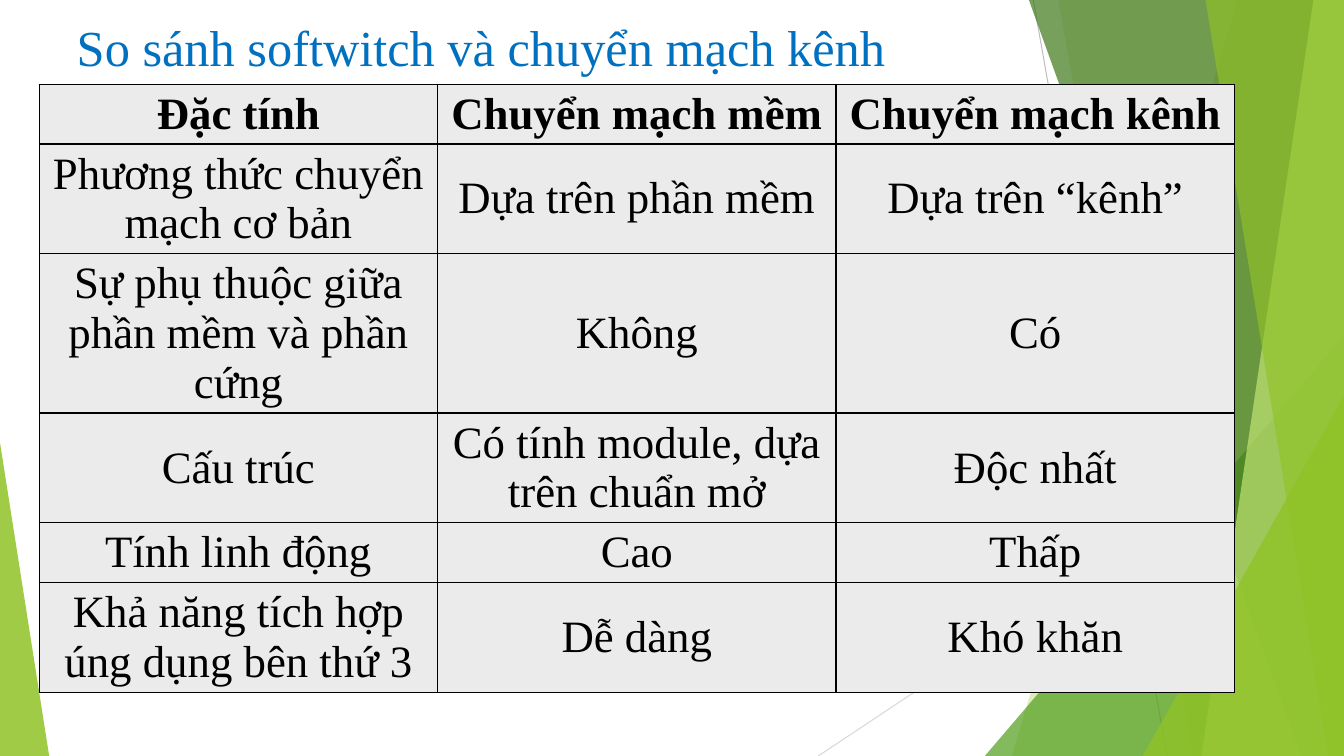
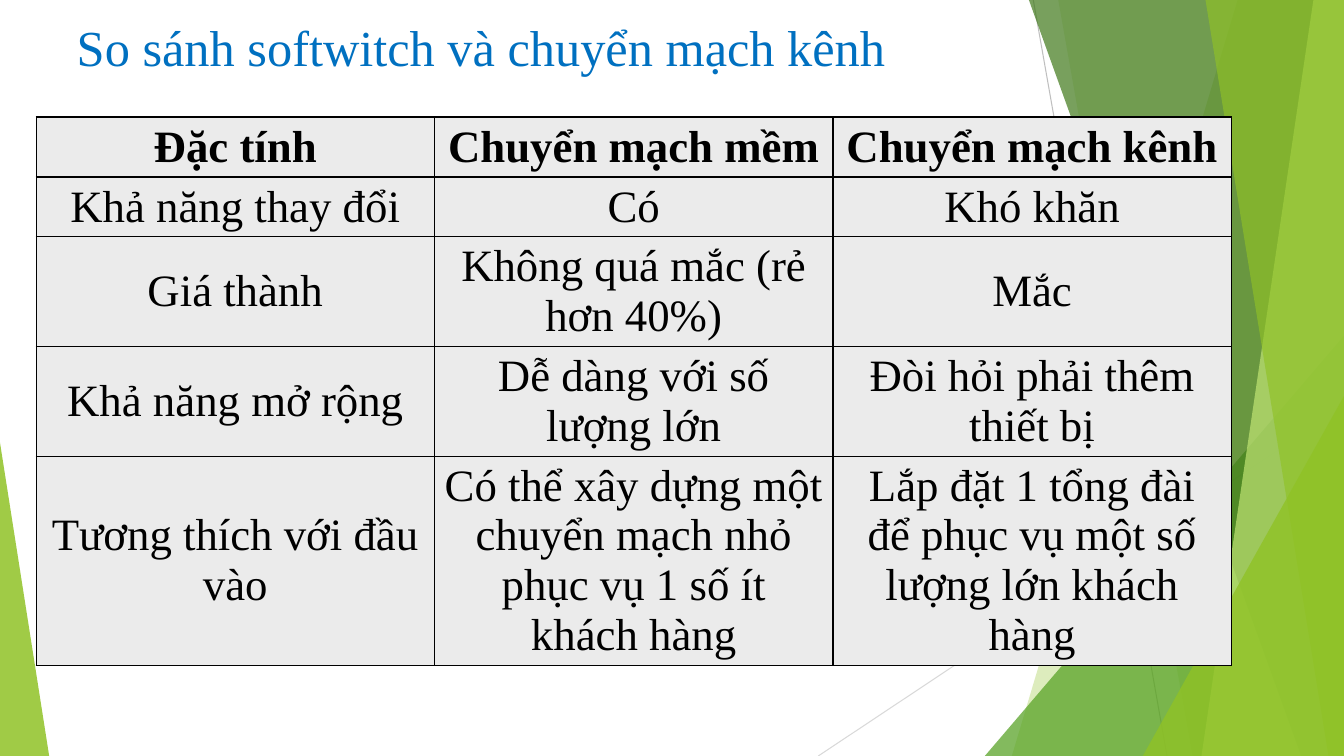
from lxml import etree
from pptx import Presentation
from pptx import util as u
from pptx.dml.color import RGBColor
from pptx.enum import shapes, text
from pptx.oxml.ns import qn

# Content
TITLE = "So sánh softwitch và chuyển mạch kênh"
HEADER = ("Đặc tính", "Chuyển mạch mềm", "Chuyển mạch kênh")

# Each table: left and top in cm, then rows as (text lines, cells)
TABLES = [
    {"left": 0.99, "top": 2.12, "rows": [
        (1, HEADER),
        (2, ("Phương thức chuyển mạch cơ bản", "Dựa trên phần mềm", "Dựa trên “kênh”")),
        (3, ("Sự phụ thuộc giữa phần mềm và phần cứng", "Không", "Có")),
        (2, ("Cấu trúc", "Có tính module, dựa trên chuẩn mở", "Độc nhất")),
        (1, ("Tính linh động", "Cao", "Thấp")),
        (2, ("Khả năng tích hợp úng dụng bên thứ 3", "Dễ dàng", "Khó khăn")),
    ]},
    {"left": 0.91, "top": 2.95, "rows": [
        (1, HEADER),
        (1, ("Khả năng thay đổi", "Có", "Khó khăn")),
        (2, ("Giá thành", "Không quá mắc (rẻ hơn 40%)", "Mắc")),
        (2, ("Khả năng mở rộng", "Dễ dàng với số lượng lớn", "Đòi hỏi phải thêm thiết bị")),
        (4, ("Tương thích với đầu vào",
             "Có thể xây dựng một chuyển mạch nhỏ phục vụ 1 số ít khách hàng",
             "Lắp đặt 1 tổng đài để phục vụ một số lượng lớn khách hàng")),
    ]},
]

# Shared style, lengths in cm
WIDTH, HEIGHT = 33.87, 19.05
COLUMN_WIDTH, LINE_HEIGHT, ROW_PADDING = 10.04, 1.25, 0.25
FONT = "Times New Roman"
TITLE_BOX = {"left": 1.68, "top": 0.28, "width": 23.88, "height": 3.66}
TITLE_FONT = {"name": FONT, "size": u.Pt(36)}
CELL_FONT = {"name": FONT, "size": u.Pt(32)}

# Background: lines are (colour, start, end); facets run to the bottom edge
LINES = [("BFBFBF", (26.04, 0), (29.41, HEIGHT)),
         ("D9D9D9", (WIDTH, 10.24), (20.62, HEIGHT))]
# band: colour, opacity, top x, bottom x (closed by the right edge)
# triangle: colour, opacity, left, top, width, apex position
FACETS = [
    ("band", "90C226", 30, (31.19, 25.5)),
    ("band", "90C226", 20, (26.67, 30.05)),
    ("triangle", "54A021", 72, (24.82, 8.46, 9.05, 1)),
    ("band", "3F7819", 70, (25.93, 32.79)),
    ("band", "C0E474", 70, (33.1, 30.28)),
    ("band", "90C226", 65, (30.38, 33.48)),
    ("triangle", "90C226", 80, (28.8, 9.98, 5.07, 1)),
    ("triangle", "90C226", 85, (0, 11.15, 1.24, 0)),
]


def colour(value):
    return RGBColor.from_string(value)


def style_font(font, values, hex_colour):
    for name, value in values.items():
        setattr(font, name, value)
    font.color.rgb = colour(hex_colour)


def add_band(group, top_x, bottom_x):
    points = [(top_x, 0), (WIDTH, 0), (WIDTH, HEIGHT), (bottom_x, HEIGHT)]
    points = [(u.Cm(x), u.Cm(y)) for x, y in points]
    builder = group.shapes.build_freeform(*points[0])
    builder.add_line_segments(points[1:], close=True)
    return builder.convert_to_shape()


def add_triangle(group, left, top, width, apex):
    shape = group.shapes.add_shape(
        shapes.MSO_SHAPE.ISOSCELES_TRIANGLE,
        *map(u.Cm, (left, top, width, HEIGHT - top)))
    shape.adjustments[0] = apex
    return shape


def add_background(slide, layout):
    """Draw the facets once and hand them to the layout."""
    group = slide.shapes.add_group_shape()
    for hex_colour, start, end in LINES:
        connector = group.shapes.add_connector(
            shapes.MSO_CONNECTOR.STRAIGHT, *map(u.Cm, start + end))
        connector.line.color.rgb = colour(hex_colour)
        connector.line.width = u.Pt(0.75)
        etree.SubElement(connector.element.spPr, qn("a:effectLst"))
    makers = {"band": add_band, "triangle": add_triangle}
    for kind, hex_colour, opacity, geometry in FACETS:
        shape = makers[kind](group, *geometry)
        shape.shadow.inherit = False
        shape.line.fill.background()
        shape.fill.solid()
        shape.fill.fore_color.rgb = colour(hex_colour)
        fill_colour = shape.element.spPr.find(".//" + qn("a:srgbClr"))
        etree.SubElement(fill_colour, qn("a:alpha"), val=str(opacity * 1000))
    layout.shapes.element.insert(2, group.element)


def set_title(slide):
    title = slide.shapes.title
    for name, value in TITLE_BOX.items():
        setattr(title, name, u.Cm(value))
    frame = title.text_frame
    frame.text = TITLE
    frame.vertical_anchor = text.MSO_ANCHOR.TOP
    paragraph = frame.paragraphs[0]
    paragraph.alignment = text.PP_ALIGN.LEFT
    style_font(paragraph.runs[0].font, TITLE_FONT, "0070C0")


def format_cell(cell, words, bold):
    cell.text = words
    cell.vertical_anchor = text.MSO_ANCHOR.MIDDLE
    paragraph = cell.text_frame.paragraphs[0]
    paragraph.alignment = text.PP_ALIGN.CENTER
    style_font(paragraph.runs[0].font, {**CELL_FONT, "bold": bold}, "000000")
    # Borders come before the fill in the cell properties
    properties = cell._tc.get_or_add_tcPr()
    for side in ("lnL", "lnR", "lnT", "lnB"):
        border = etree.SubElement(properties, qn("a:" + side), w=str(u.Pt(1)))
        fill = etree.SubElement(border, qn("a:solidFill"))
        etree.SubElement(fill, qn("a:srgbClr"), val="000000")
    cell.fill.solid()
    cell.fill.fore_color.rgb = colour("EBEBEB")


def add_comparison(slide, left, top, rows):
    heights = [ROW_PADDING + LINE_HEIGHT * lines for lines, _ in rows]
    columns = len(HEADER)
    table = slide.shapes.add_table(
        len(rows), columns,
        *map(u.Cm, (left, top, COLUMN_WIDTH * columns, sum(heights)))).table
    for row_index, (_, cells) in enumerate(rows):
        table.rows[row_index].height = u.Cm(heights[row_index])
        for column_index, words in enumerate(cells):
            format_cell(table.cell(row_index, column_index), words, row_index == 0)


def main():
    presentation = Presentation()
    presentation.slide_width, presentation.slide_height = u.Cm(WIDTH), u.Cm(HEIGHT)
    layout = presentation.slide_layouts[5]
    # Keep only the title on the layout
    for placeholder in list(layout.placeholders)[1:]:
        layout.shapes.element.remove(placeholder.element)
    for index, comparison in enumerate(TABLES):
        slide = presentation.slides.add_slide(layout)
        if index == 0:
            add_background(slide, layout)
        set_title(slide)
        add_comparison(slide, **comparison)
    presentation.save("out.pptx")


if __name__ == "__main__":
    main()
